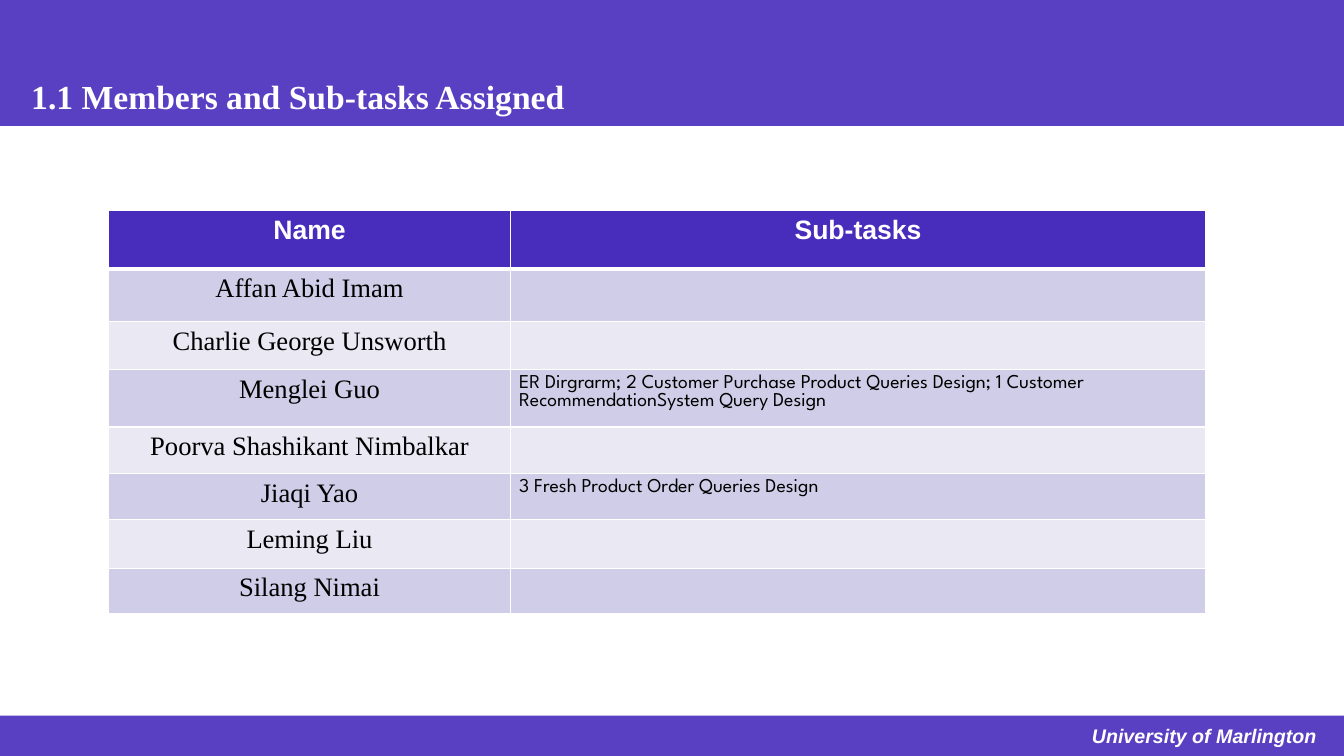
from lxml.etree import SubElement as Sub
from pptx import Presentation
from pptx.dml.color import RGBColor as RGB
from pptx.enum.shapes import MSO_SHAPE as Kind
from pptx.enum.text import MSO_ANCHOR as Anchor, PP_ALIGN as Align
from pptx.oxml.ns import qn
from pptx.util import Inches, Pt

TITLE = "1.1 Members and Sub-tasks Assigned"
SCHOOL = "University of Marlington"
ROWS = [
    ("Name", "Sub-tasks"),
    ("Affan Abid Imam", ""),
    ("Charlie George Unsworth", ""),
    ("Menglei Guo", "ER Dirgrarm; 2 Customer Purchase Product Queries Design; "
                    "1 Customer RecommendationSystem Query Design"),
    ("Poorva Shashikant Nimbalkar", ""),
    ("Jiaqi Yao", "3 Fresh Product Order Queries Design"),
    ("Leming Liu", ""),
    ("Silang Nimai", ""),
]
WIDE, HIGH = 13.33, 7.5
HEAD, FOOT = 1.25, 0.4
COLS = (3.98, 6.9)
TALL = (0.58, 0.52, 0.48, 0.55, 0.46, 0.46, 0.48, 0.45)
LEFT, TOP = 1.08, 2.09

PURPLE = RGB(0x48, 0x2C, 0xBC)
LILAC = RGB(0xCF, 0xCD, 0xE7)
PALE = RGB(0xE9, 0xE8, 0xF3)
WHITE = RGB(0xFF, 0xFF, 0xFF)
BLACK = RGB(0, 0, 0)


def style(para, face, size, color, bold=False, align=Align.LEFT):
    para.alignment = align
    font = para.font
    font.name, font.size, font.bold = face, Pt(size), bold
    font.color.rgb = color


def band(slide, top, high):
    bar = slide.shapes.add_shape(Kind.RECTANGLE, 0, Inches(top), Inches(WIDE), Inches(high))
    bar.shadow.inherit = False
    bar.line.fill.background()
    bar.fill.solid()
    bar.fill.fore_color.rgb = PURPLE
    tone = next(bar.element.spPr.iter(qn("a:srgbClr")))
    Sub(tone, qn("a:alpha"), val="90000")


def place(box, left, top, wide, high):
    box.left, box.top, box.width, box.height = map(Inches, (left, top, wide, high))


def edge(cell, base):
    props = cell._tc.get_or_add_tcPr()
    for side in "LRTB":
        width = 3 if side == base else 1
        line = Sub(props, qn(f"a:ln{side}"), w=str(Pt(width)))
        Sub(Sub(line, qn("a:solidFill")), qn("a:srgbClr"), val=str(WHITE))


def grid(slide):
    frame = slide.shapes.add_table(len(ROWS), len(COLS), Inches(LEFT), Inches(TOP),
                                   Inches(sum(COLS)), Inches(sum(TALL)))
    table = frame.table
    for col, wide in zip(table.columns, COLS):
        col.width = Inches(wide)
    for i, (row, high) in enumerate(zip(table.rows, TALL)):
        row.height = Inches(high)
        for j, cell in enumerate(row.cells):
            edge(cell, {0: "B", 1: "T"}.get(i))
            cell.fill.solid()
            cell.fill.fore_color.rgb = (LILAC if i % 2 else PALE) if i else PURPLE
            cell.margin_left = cell.margin_right = Inches(0.09)
            cell.text = ROWS[i][j]
            para = cell.text_frame.paragraphs[0]
            if i == 0:
                style(para, "Arial", 19, WHITE, True, Align.CENTER)
            elif j == 0:
                style(para, "Times New Roman", 19, BLACK, align=Align.CENTER)
            else:
                style(para, "League Spartan", 14, BLACK)


def main():
    deck = Presentation()
    deck.slide_width, deck.slide_height = Inches(WIDE), Inches(HIGH)
    slide = deck.slides.add_slide(deck.slide_layouts[5])
    band(slide, HIGH - FOOT, FOOT)
    band(slide, 0, HEAD)

    title = slide.shapes.title
    title.element.getparent().append(title.element)
    place(title, 0.21, 0.7, 6.18, 0.84)
    title.text_frame.text = TITLE
    title.text_frame.vertical_anchor = Anchor.TOP
    style(title.text_frame.paragraphs[0], "Times New Roman", 24, WHITE, True)

    note = slide.shapes.add_textbox(0, 0, 0, 0)
    place(note, 9.6, 7.13, 3.56, 0.34)
    note.text_frame.word_wrap = True
    note.text_frame.text = SCHOOL
    para = note.text_frame.paragraphs[0]
    style(para, "Arial", 14, WHITE, True, Align.RIGHT)
    para.font.italic = True

    grid(slide)
    deck.save("out.pptx")


if __name__ == "__main__":
    main()
